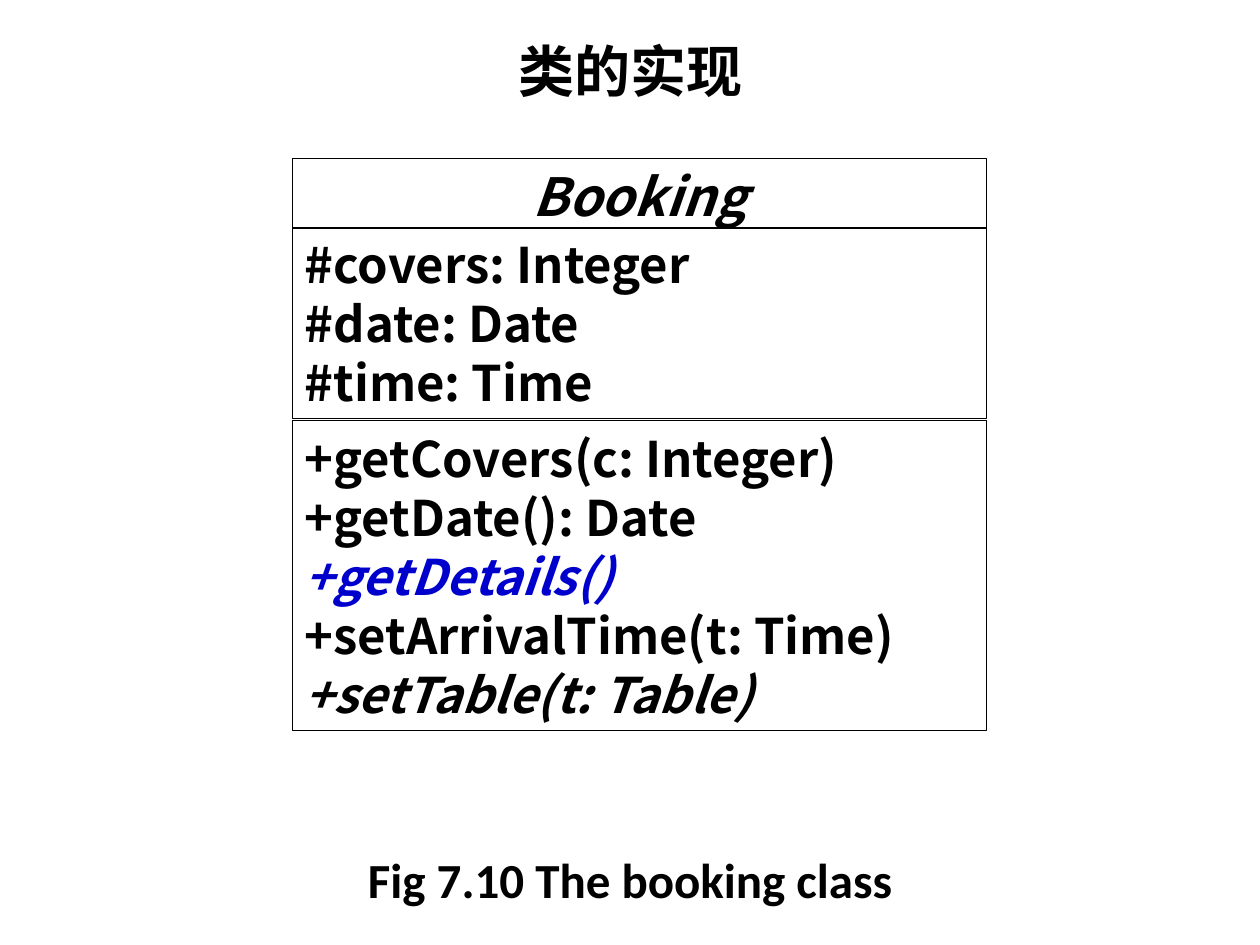
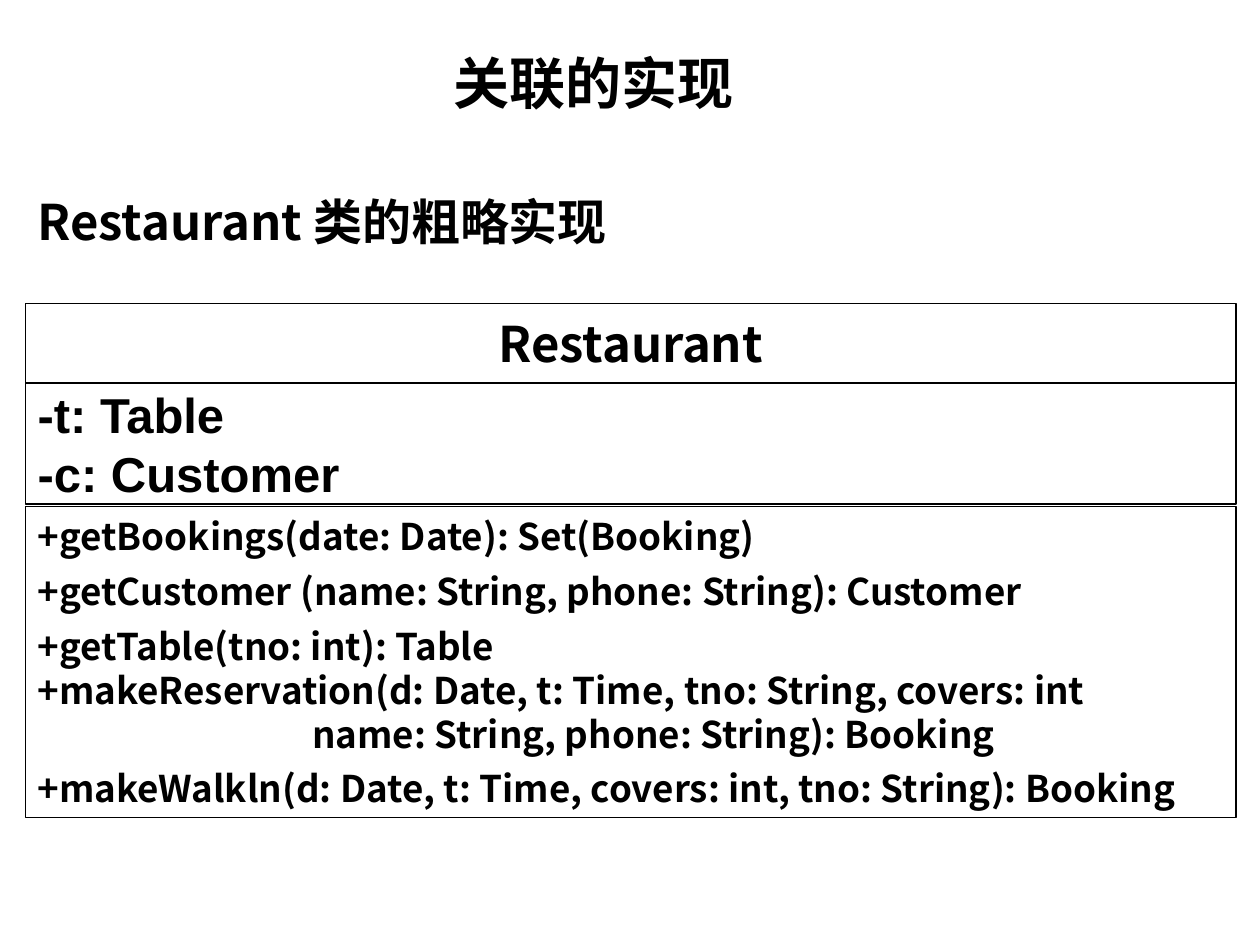
from lxml.etree import SubElement
from pptx import Presentation
from pptx.dml.color import RGBColor
from pptx.enum.shapes import MSO_SHAPE
from pptx.enum.text import MSO_ANCHOR, MSO_AUTO_SIZE, PP_ALIGN
from pptx.oxml.ns import qn
from pptx.util import Inches, Pt

BLACK = RGBColor(0x00, 0x00, 0x00)
WHITE = RGBColor(0xFF, 0xFF, 0xFF)
BLUE = RGBColor(0x00, 0x00, 0xCC)

SANS = "Noto Sans CJK SC"
COLUMNS, ROWS = 100, 75
TITLE_ONLY = 5

TITLE = {"size": Pt(32)}
NAME = {"align": PP_ALIGN.CENTER}
ABSTRACT = {"italic": True}


class ClassDiagramDeck:
    """Holds the shared style and the slide being filled; lengths are grid columns and rows."""

    text_style = {"name": SANS, "size": Pt(28), "bold": True, "italic": False}

    def __init__(self):
        self.deck = Presentation()
        self.deck.slide_width, self.deck.slide_height = Inches(10), Inches(7.5)
        self.slide = None

    def place(self, left, top, width, height):
        column = self.deck.slide_width / COLUMNS
        row = self.deck.slide_height / ROWS
        return [round(n * unit) for n, unit in
                ((left, column), (top, row), (width, column), (height, row))]

    def new_slide(self, title, area):
        layout = self.deck.slide_layouts[TITLE_ONLY]
        self.slide = self.deck.slides.add_slide(layout)
        box = self.slide.shapes.title
        box.left, box.top, box.width, box.height = self.place(*area)
        self.fill_text(box, [(title, {})], MSO_ANCHOR.MIDDLE, NAME | TITLE)

    def text(self, line, area, **style):
        box = self.slide.shapes.add_textbox(*self.place(*area))
        self.fill_text(box, [(line, {})], MSO_ANCHOR.TOP, style)

    def compartment(self, lines, area, **style):
        """Draw one outlined part of a class box; lines are (text, style) pairs."""
        box = self.slide.shapes.add_shape(MSO_SHAPE.RECTANGLE, *self.place(*area))
        box.shadow.inherit = False
        box.fill.solid()
        box.fill.fore_color.rgb = WHITE
        box.line.color.rgb = BLACK
        box.line.width = Pt(0.75)
        self.fill_text(box, lines, MSO_ANCHOR.MIDDLE, style)

    def fill_text(self, box, lines, anchor, style):
        frame = box.text_frame
        frame.word_wrap = True
        frame.auto_size = MSO_AUTO_SIZE.NONE
        frame.vertical_anchor = anchor
        for index, (line, line_style) in enumerate(lines):
            para = frame.paragraphs[0] if index == 0 else frame.add_paragraph()
            self.style_line(para, line, style | line_style)

    def style_line(self, para, line, style):
        para.alignment = style.get("align", PP_ALIGN.LEFT)
        para.line_spacing = style.get("line_spacing")
        para.space_before = style.get("space_before", Pt(0))
        if "indent" in style:
            properties = para._p.get_or_add_pPr()
            properties.set("marL", str(self.place(style["indent"], 0, 0, 0)[0]))
            properties.set("indent", "0")
        span = para.add_run()
        span.text = line
        for key, default in self.text_style.items():
            setattr(span.font, key, style.get(key, default))
        span.font.color.rgb = style.get("color", BLACK)
        SubElement(span._r.get_or_add_rPr(), qn("a:ea"), typeface=span.font.name)


def add_booking_slide(page):
    left, width = 23.2, 55.1
    page.new_slide("类的实现", (31.9, 2.1, 36.3, 6.9))
    page.text("Fig 7.10 The booking class", (5, 67.8, 90, 5.1),
              name="Calibri", align=PP_ALIGN.CENTER, line_spacing=0.8)
    page.compartment([("Booking", NAME | ABSTRACT)],
                     (left, 12.6, width, 5.8), size=Pt(30))
    page.compartment([(line, {}) for line in
                      ("#covers: Integer", "#date: Date", "#time: Time")],
                     (left, 18.1, width, 15.1))
    page.compartment([
        ("+getCovers(c: Integer)", {}),
        ("+getDate(): Date", {}),
        ("+getDetails()", ABSTRACT | {"color": BLUE}),
        ("+setArrivalTime(t: Time)", {}),
        ("+setTable(t: Table)", ABSTRACT),
    ], (left, 33.4, width, 24.6))


def add_restaurant_slide(page):
    left, width = 2, 96.1
    spaced = {"space_before": Pt(6)}
    page.new_slide("关联的实现", (23.1, 3.8, 48.1, 5.4))
    page.text("Restaurant 类的粗略实现", (left, 14.7, 52.8, 5.7))
    page.compartment([("Restaurant", NAME)], (left, 24.1, width, 6.3))
    page.compartment([
        ("+getBookings(date: Date): Set(Booking)", {}),
        ("+getCustomer (name: String, phone: String): Customer", spaced),
        ("+getTable(tno: int): Table", spaced),
        ("+makeReservation(d: Date, t: Time, tno: String, covers: int", {}),
        ("name: String, phone: String): Booking", {"indent": 21.8}),
        ("+makeWalkln(d: Date, t: Time, covers: int, tno: String): Booking", spaced),
    ], (left, 40.2, width, 24.7), size=Pt(21))
    page.compartment([("-t: Table", {}), ("-c: Customer", {})],
                     (left, 30.4, width, 9.6), name="Arial")


def main():
    page = ClassDiagramDeck()
    add_booking_slide(page)
    add_restaurant_slide(page)
    page.deck.save("out.pptx")


if __name__ == "__main__":
    main()
